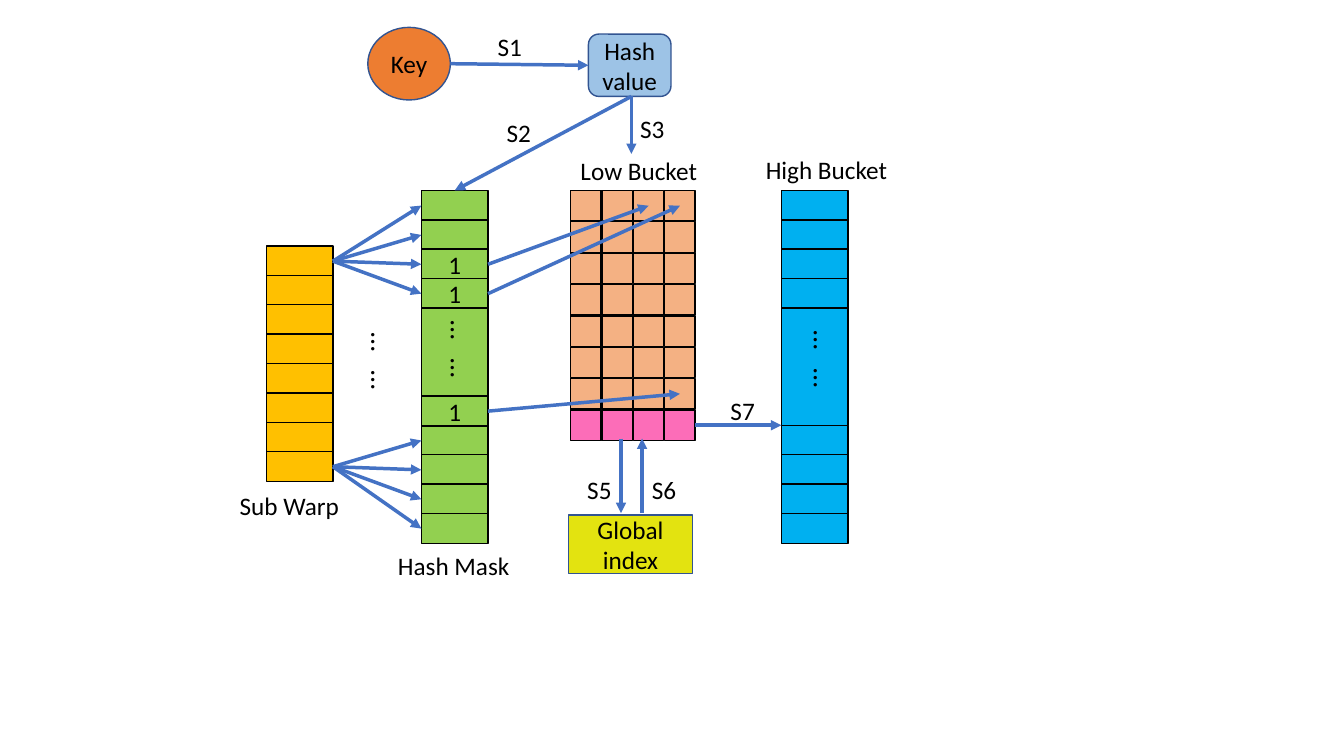
from collections import namedtuple

from lxml import etree
from pptx import Presentation
from pptx.dml.color import RGBColor
from pptx.enum.shapes import MSO_CONNECTOR, MSO_SHAPE
from pptx.enum.text import MSO_ANCHOR, MSO_AUTO_SIZE, PP_ALIGN
from pptx.oxml.ns import qn
from pptx.util import Cm, Pt

RECTANGLE, ELLIPSE, ROUNDED = MSO_SHAPE.RECTANGLE, MSO_SHAPE.OVAL, MSO_SHAPE.ROUNDED_RECTANGLE
STRAIGHT = MSO_CONNECTOR.STRAIGHT
MIDDLE, CENTER = MSO_ANCHOR.MIDDLE, PP_ALIGN.CENTER
GROW = MSO_AUTO_SIZE.SHAPE_TO_FIT_TEXT

BLACK, NAVY, BLUE = "000000", "325491", "4472C4"
AMBER, GREEN, SKY = "FFC000", "92D050", "00B0F0"
PEACH, PINK, YELLOW = "F4B183", "FC6DB8", "E3E310"
ORANGE, PALE_BLUE = "ED7D31", "9DC3E6"
SLOT_STEP, SLOT_HEIGHT = 0.74, 0.76
GRID_STEP, GRID_CELL = 0.79, 0.77
Box = namedtuple("Box", "left top width height")


def color(text):
    """Turn a hex string into a colour."""
    return RGBColor.from_string(text)


def side(box, across, down):
    """Return the point at the given fractions of a box."""
    return box.left + across * box.width, box.top + down * box.height


def set_font(para, size=18):
    """Apply the common font to a paragraph."""
    para.font.name = "Calibri"
    para.font.size = Pt(size)
    para.font.color.rgb = color(BLACK)


def draw_block(page, box, fill, text="", line=BLACK, kind=RECTANGLE):
    """Draw a filled, outlined shape with centred text."""
    block = page.shapes.add_shape(kind, *map(Cm, box))
    block.shadow.inherit = False
    block.fill.solid()
    block.fill.fore_color.rgb = color(fill)
    block.line.color.rgb = color(line)
    block.line.width = Pt(1)
    if text:
        block.text_frame.vertical_anchor = MIDDLE
        para = block.text_frame.paragraphs[0]
        para.text = text
        para.alignment = CENTER
        set_font(para)


def draw_label(page, left, top, text, width=1.14):
    """Draw a one-line label."""
    label = page.shapes.add_textbox(Cm(left), Cm(top), Cm(width), Cm(1.02))
    label.text_frame.word_wrap = False
    label.text_frame.auto_size = GROW
    para = label.text_frame.paragraphs[0]
    para.text = text
    set_font(para)


def draw_dots(page, center_x, center_y, fill=None):
    """Draw two vertical ellipses around a centre point."""
    width, height = 2.29, 1.12
    box = (center_x - width / 2, center_y - height / 2, width, height)
    dots = page.shapes.add_textbox(*map(Cm, box))
    dots.rotation = 90
    dots.text_frame.word_wrap = True
    dots.text_frame.auto_size = GROW
    if fill:
        dots.fill.solid()
        dots.fill.fore_color.rgb = color(fill)
    para = dots.text_frame.paragraphs[0]
    for text in ("…", " ", "…"):
        span = para.add_run()
        span.text = text
        if text == " ":
            span._r.get_or_add_rPr().set("spc", "900")
    set_font(para, 20)


def draw_arrow(page, start, end):
    """Draw a blue arrow between two points."""
    arrow = page.shapes.add_connector(STRAIGHT, *map(Cm, (*start, *end)))
    arrow.line.color.rgb = color(BLUE)
    arrow.line.width = Pt(2.5)
    etree.SubElement(arrow.line._get_or_add_ln(), qn("a:tailEnd"), type="triangle")
    etree.SubElement(arrow._element.spPr, qn("a:effectLst"))


def slot(box, index):
    """Return the box of one slot in a column."""
    return Box(box.left, box.top + index * SLOT_STEP, box.width, SLOT_HEIGHT)


def grid_cell(box, row, column):
    """Return the box of one cell in the low bucket."""
    return Box(box.left + column * GRID_STEP, box.top + row * GRID_STEP, GRID_CELL, GRID_CELL)


def draw_sub_warp(page, box):
    """Draw the column of eight threads with its caption."""
    for index in range(8):
        draw_block(page, slot(box, index), AMBER)
    draw_dots(page, box.left + 2.92, box.top + 3.07)
    draw_label(page, box.left - 0.92, box.top + 6.02, "Sub Warp", 3.05)


def draw_long_column(page, box, fill, dots_x, dots_y, marked=()):
    """Draw four slots, a long gap and four more slots."""
    for index in (0, 1, 2, 3, 8, 9, 10, 11):
        draw_block(page, slot(box, index), fill, "1" if index in marked else "")
    gap = slot(box, 4)._replace(height=4 * SLOT_STEP)
    draw_block(page, gap, fill)
    draw_dots(page, box.left + dots_x, box.top + dots_y, fill)


def draw_hash_mask(page, box):
    """Draw the hash mask column with its set bits."""
    draw_long_column(page, box, GREEN, 1.01, 4.17, marked=(2, 3))
    draw_block(page, slot(box, 7), GREEN, "1")
    draw_label(page, box.left - 0.84, box.top + 8.94, "Hash Mask", 3.35)


def draw_high_bucket(page, box):
    """Draw the high bucket column with its caption."""
    draw_long_column(page, box, SKY, 1.09, 4.42)
    draw_label(page, box.left - 0.64, box.top - 1.04, "High Bucket", 3.61)


def draw_low_bucket(page, box):
    """Draw the low bucket grid with its pink index row."""
    for row in range(8):
        for column in range(4):
            draw_block(page, grid_cell(box, row, column), PINK if row == 7 else PEACH)
    draw_label(page, box.left, box.top - 1.02, "Low Bucket", 3.48)


def draw_hashing(page, key, value, mask):
    """Draw the key, its hash value and steps S1 to S3."""
    draw_block(page, key, ORANGE, "Key", NAVY, ELLIPSE)
    draw_block(page, value, PALE_BLUE, "Hash value", NAVY, ROUNDED)
    draw_arrow(page, side(key, 1, 0.5), side(value, 0, 0.5))
    foot = side(value, 0.52, 1)
    draw_arrow(page, foot, side(mask, 0.5, 0))
    draw_arrow(page, foot, (foot[0], foot[1] + 1.45))
    draw_label(page, value.left - 2.54, value.top - 0.2, "S1")
    draw_label(page, value.left - 2.31, value.top + 1.98, "S2")
    draw_label(page, value.left + 1.05, value.top + 1.86, "S3")


def draw_probes(page, warp, mask, low):
    """Draw the fans into the mask and the hits in the low bucket."""
    for thread, first in ((0, 0), (7, 8)):
        for index in range(first, first + 4):
            draw_arrow(page, side(slot(warp, thread), 1, 0.5), side(slot(mask, index), 0, 0.5))
    for index, row, column in ((2, 0, 2), (3, 0, 3), (7, 6, 3)):
        draw_arrow(page, side(slot(mask, index), 1, 0.5), side(grid_cell(low, row, column), 0.5, 0.5))


def draw_overflow(page, box, low, high):
    """Draw the global index and steps S5 to S7."""
    draw_block(page, box, YELLOW, "Global index", NAVY)
    upper, lower = box.top - 1.93, box.top - 0.05
    down_x, up_x = box.left + 1.32, box.left + 1.85
    draw_arrow(page, (down_x, upper), (down_x, lower))
    draw_arrow(page, (up_x, lower), (up_x, upper))
    start = side(grid_cell(low, 7, 3), 1, 0.5)
    draw_arrow(page, start, (high.left, start[1]))
    draw_label(page, box.left + 0.22, box.top - 1.14, "S5")
    draw_label(page, up_x, box.top - 1.14, "S6")
    draw_label(page, start[0] + 0.64, start[1] - 0.88, "S7")


def main():
    """Build the hash lookup slide."""
    deck = Presentation()
    deck.slide_width, deck.slide_height = Cm(33.87), Cm(19.05)
    page = deck.slides.add_slide(deck.slide_layouts[6])
    warp = Box(6.71, 6.2, 1.68, 5.94)
    mask = Box(10.62, 4.8, 1.68, 8.9)
    low = Box(14.38, 4.8, 3.14, 6.3)
    high = Box(19.69, 4.8, 1.68, 8.9)
    draw_sub_warp(page, warp)
    draw_hash_mask(page, mask)
    draw_low_bucket(page, low)
    draw_high_bucket(page, high)
    draw_hashing(page, Box(9.27, 0.69, 2.08, 1.83), Box(14.83, 0.86, 2.08, 1.57), mask)
    draw_probes(page, warp, mask, low)
    draw_overflow(page, Box(14.33, 12.98, 3.12, 1.47), low, high)
    deck.save("out.pptx")


if __name__ == "__main__":
    main()
